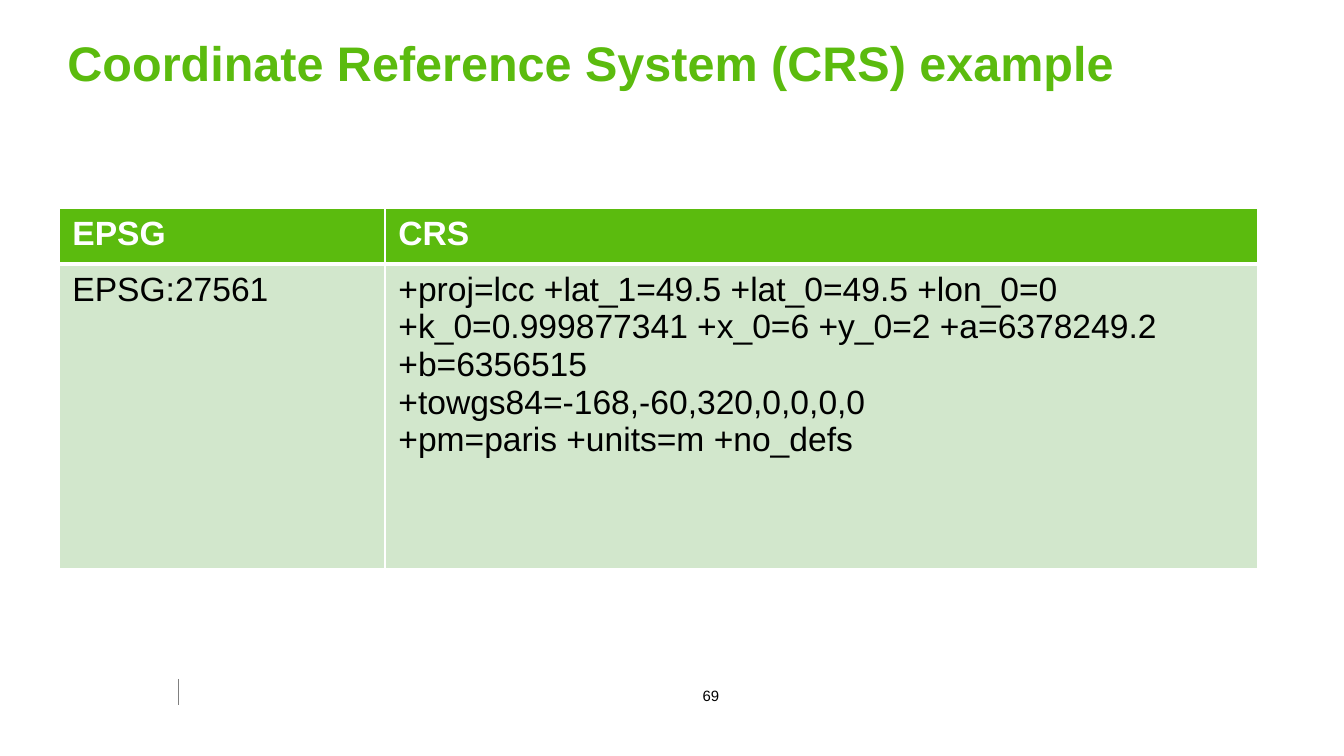
import pptx
import pptx.dml.color
import pptx.enum.shapes
import pptx.enum.text
import pptx.oxml.ns
import pptx.util
from lxml import etree

PX = 9144000 / 1344
HUES = {"green": "5BBB0E", "pale": "D2E7CC", "white": "FFFFFF",
        "black": "000000", "gray": "808080"}
qn = pptx.oxml.ns.qn


def px(*nums):
    return [pptx.util.Emu(round(n * PX)) for n in nums]


def add_run(para, text, size, hue, bold=False):
    run = para.add_run()
    run.text = text
    run.font.name = "Arial"
    run.font.size = pptx.util.Pt(size)
    run.font.bold = bold
    run.font.color.rgb = pptx.dml.color.RGBColor.from_string(HUES[hue])


deck = pptx.Presentation()
deck.slide_width, deck.slide_height = px(1344, 756)
slide = deck.slides.add_slide(deck.slide_layouts[5])
shapes = slide.shapes

# Footer rule
rule = shapes.add_connector(
    pptx.enum.shapes.MSO_CONNECTOR.STRAIGHT, *px(178, 679, 178, 705))
rule.line.width = pptx.util.Pt(0.25)
rule.line.color.rgb = pptx.dml.color.RGBColor.from_string(HUES["gray"])
etree.SubElement(rule._element.spPr, qn("a:effectLst"))

# Title
title = shapes.title
title.left, title.top, title.width, title.height = px(54, 26, 1204, 73)
frame = title.text_frame
frame.vertical_anchor = pptx.enum.text.MSO_ANCHOR.TOP
frame.paragraphs[0].alignment = pptx.enum.text.PP_ALIGN.LEFT
add_run(frame.paragraphs[0], "Coordinate Reference System (CRS) example",
        26, "green", True)

# Page number
page = shapes.add_textbox(*px(688, 680, 46, 32)).text_frame
page.word_wrap = False
page.paragraphs[0].alignment = pptx.enum.text.PP_ALIGN.CENTER
add_run(page.paragraphs[0], "69", 8, "black")

# CRS table
rows = [
    [["EPSG"], ["CRS"]],
    [["EPSG:27561"],
     ["+proj=lcc +lat_1=49.5 +lat_0=49.5 +lon_0=0",
      "+k_0=0.999877341 +x_0=6 +y_0=2 +a=6378249.2",
      "+b=6356515",
      "+towgs84=-168,-60,320,0,0,0,0",
      "+pm=paris +units=m +no_defs"]],
]
table = shapes.add_table(2, 2, *px(59, 208, 1199, 361)).table
for col, wide in zip(table.columns, px(326, 873)):
    col.width = wide
for row, high in zip(table.rows, px(56, 305)):
    row.height = high

for r, row in enumerate(rows):
    head = r == 0
    for c, lines in enumerate(row):
        cell = table.cell(r, c)
        # White borders, thick between header and body
        thick = "B" if head else "T"
        props = cell._tc.get_or_add_tcPr()
        for side in "LRTB":
            edge = etree.SubElement(
                props, qn("a:ln" + side),
                w=str(pptx.util.Pt(3 if side == thick else 1)))
            fill = etree.SubElement(edge, qn("a:solidFill"))
            etree.SubElement(fill, qn("a:srgbClr"), val=HUES["white"])
        cell.fill.solid()
        cell.fill.fore_color.rgb = pptx.dml.color.RGBColor.from_string(
            HUES["green" if head else "pale"])
        # Cell text
        for i, line in enumerate(lines):
            frame = cell.text_frame
            para = frame.add_paragraph() if i else frame.paragraphs[0]
            add_run(para, line, 18, "white" if head else "black", head)

deck.save("out.pptx")
